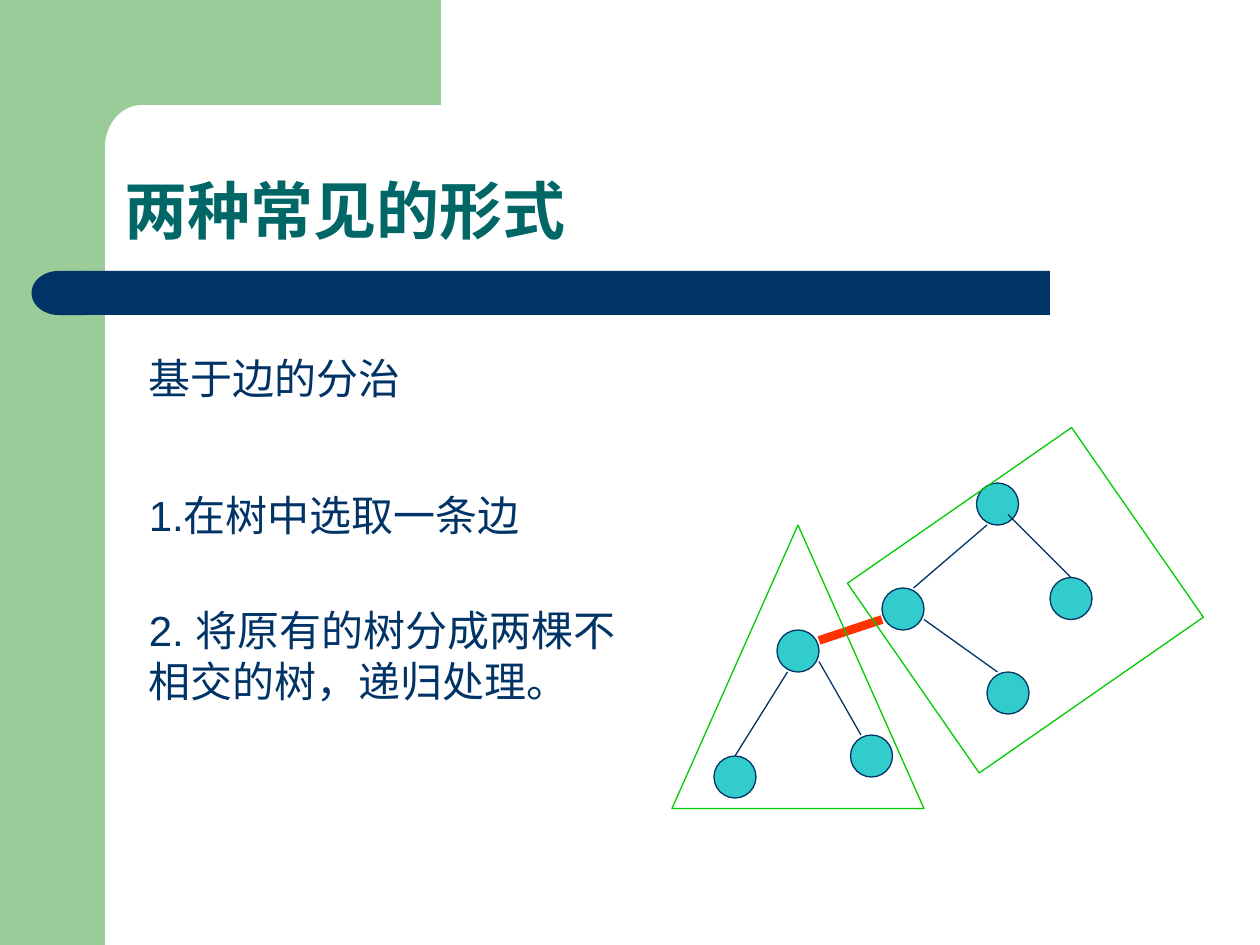
from dataclasses import dataclass
from math import cos, pi, sin

from lxml.etree import SubElement
from pptx import Presentation
from pptx.dml.color import RGBColor
from pptx.enum.shapes import MSO_CONNECTOR, MSO_SHAPE
from pptx.enum.text import MSO_ANCHOR, MSO_AUTO_SIZE, PP_ALIGN
from pptx.oxml.ns import qn
from pptx.util import Pt


@dataclass(frozen=True)
class Theme:
    font: str = "Arial"
    title_size: float = 36
    body_size: float = 24
    hairline: float = 0.75
    cut_width: float = 5
    rail: str = "99CC99"
    navy: str = "003366"
    title: str = "006666"
    node: str = "33CCCC"
    cut: str = "FF3300"
    subtree: str = "00CC00"


class TreeSlide:
    """Draws themed elements on one slide, with all lengths in points."""

    def __init__(self, slide, theme):
        self.slide = slide
        self.theme = theme

    def paint(self, shape, fill=None, outline=None):
        shape.shadow.inherit = False
        if fill:
            shape.fill.solid()
            shape.fill.fore_color.rgb = RGBColor.from_string(fill)
        else:
            shape.fill.background()
        if outline:
            shape.line.color.rgb = RGBColor.from_string(outline)
            shape.line.width = Pt(self.theme.hairline)
        else:
            shape.line.fill.background()

    def shape(self, preset, box, fill=None, outline=None, rotation=0):
        shape = self.slide.shapes.add_shape(preset, *map(Pt, box))
        shape.rotation = rotation
        self.paint(shape, fill, outline)

    def outline(self, points, fill):
        corners = [(Pt(x), Pt(y)) for x, y in points]
        builder = self.slide.shapes.build_freeform(*corners[0])
        builder.add_line_segments(corners[1:], close=True)
        self.paint(builder.convert_to_shape(), fill)

    def format_text(self, frame, text, size, color, bold=False):
        frame.text = text
        frame.word_wrap = True
        paragraph = frame.paragraphs[0]
        paragraph.alignment = PP_ALIGN.LEFT
        font = paragraph.runs[0].font
        font.name = self.theme.font
        font.size = Pt(size)
        font.bold = bold
        font.color.rgb = RGBColor.from_string(color)

    def title(self, text, box):
        heading = self.slide.shapes.title
        heading.left, heading.top, heading.width, heading.height = map(Pt, box)
        frame = heading.text_frame
        self.format_text(frame, text, self.theme.title_size, self.theme.title, True)
        frame.auto_size = MSO_AUTO_SIZE.NONE
        frame.vertical_anchor = MSO_ANCHOR.BOTTOM
        frame.paragraphs[0].line_spacing = 0.9

    def body(self, text, box):
        frame = self.slide.shapes.add_textbox(*map(Pt, box)).text_frame
        self.format_text(frame, text, self.theme.body_size, self.theme.navy)

    def node(self, left, top):
        self.shape(MSO_SHAPE.OVAL, (left, top, 24, 24), self.theme.node, self.theme.navy)

    def edge(self, ends, color, width):
        edge = self.slide.shapes.add_connector(MSO_CONNECTOR.STRAIGHT, *map(Pt, ends))
        edge.line.color.rgb = RGBColor.from_string(color)
        edge.line.width = Pt(width)
        SubElement(edge._element.spPr, qn("a:effectLst"))


def main():
    theme = Theme()
    deck = Presentation()
    deck.slide_width, deck.slide_height = Pt(720), Pt(540)
    page = TreeSlide(deck.slides.add_slide(deck.slide_layouts[5]), theme)

    page.shape(MSO_SHAPE.RECTANGLE, (0, 0, 60, 540), theme.rail)
    steps = 16
    angles = [pi / 2 * step / steps for step in range(steps + 1)]
    inner_corner = [(81 - 21 * sin(angle), 84 - 24 * cos(angle)) for angle in angles]
    page.outline([(252, 0), (252, 60), *inner_corner, (60, 92), (36, 92), (36, 0)], theme.rail)
    page.shape(MSO_SHAPE.RECTANGLE, (48, 154.8, 552, 25.2), theme.navy)
    page.shape(MSO_SHAPE.FLOWCHART_DELAY, (18, 154.8, 31, 25.2), theme.navy, rotation=180)

    page.title("两种常见的形式", (64, 64, 615, 81.5))
    page.body("基于边的分治", (78, 198, 228, 80))
    page.body("1.在树中选取一条边", (78, 276, 282, 36))
    page.body("2. 将原有的树分成两棵不相交的树，递归处理。", (78, 342, 282, 108.5))

    left_nodes = [(444, 360), (408, 432), (486, 420)]
    right_nodes = [(558, 276), (504, 336), (600, 330), (564, 384)]
    for left, top in left_nodes + right_nodes:
        page.node(left, top)

    left_edges = [(450, 384, 420, 432), (468, 378, 492, 420)]
    right_edges = [(522, 336, 564, 300), (576, 294, 612, 330), (528, 354, 570, 384)]
    for ends in left_edges + right_edges:
        page.edge(ends, theme.navy, theme.hairline)
    page.edge((468, 366, 504, 354), theme.cut, theme.cut_width)

    page.shape(MSO_SHAPE.ISOSCELES_TRIANGLE, (384, 300, 144, 162), outline=theme.subtree)
    page.shape(MSO_SHAPE.RECTANGLE, (508, 277, 156, 132), outline=theme.subtree, rotation=325.2)

    deck.save("out.pptx")


if __name__ == "__main__":
    main()
